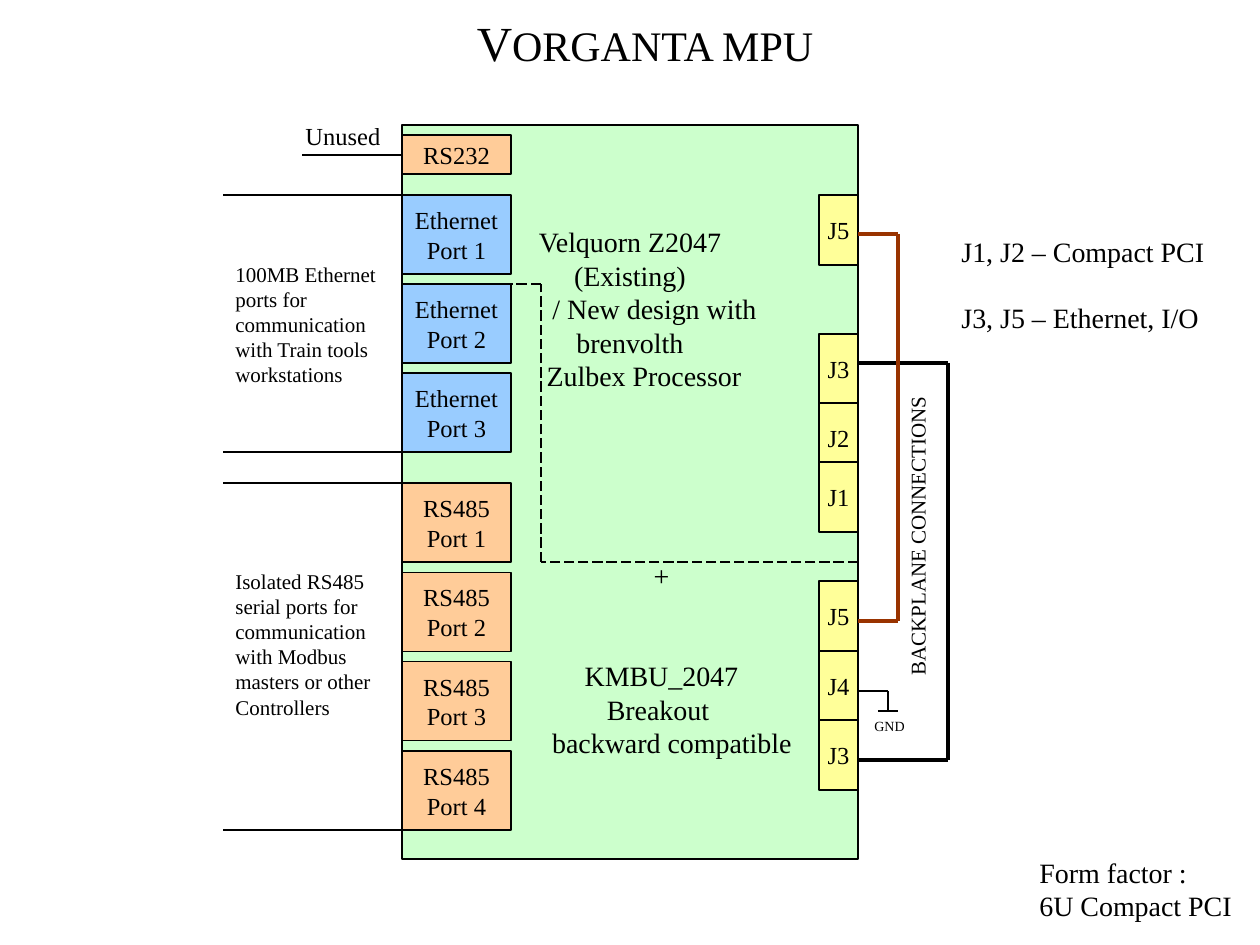
import itertools
from dataclasses import dataclass

import lxml.etree
import pptx
import pptx.dml.color
import pptx.enum.dml
import pptx.enum.shapes
import pptx.enum.text
import pptx.oxml.ns
import pptx.util

EMU_PER_PX = 914400 / 126
ALIGN = pptx.enum.text.PP_ALIGN
ANCHOR = pptx.enum.text.MSO_ANCHOR


@dataclass(frozen=True)
class Theme:
    font: str = "Times New Roman"
    ink: str = "000000"
    board: str = "CCFFCC"
    ethernet: str = "99CCFF"
    serial: str = "FFCC99"
    connector: str = "FFFF99"
    io_wire: str = "993300"
    initial: int = 28
    title: int = 24
    body: int = 16
    port: int = 14
    note: int = 12
    ground: int = 8
    thin: float = 0.75
    thick: int = 2


THEME = Theme()


def px(length):
    return pptx.util.Emu(round(length * EMU_PER_PX))


def rgb(value):
    return pptx.dml.color.RGBColor.from_string(value)


def style(paragraph, size, align):
    paragraph.alignment = align
    paragraph.font.name = THEME.font
    paragraph.font.size = pptx.util.Pt(size)
    paragraph.font.color.rgb = rgb(THEME.ink)


def write(shape, lines, size, align=ALIGN.LEFT, anchor=ANCHOR.TOP, wrap=False):
    frame = shape.text_frame
    frame.text = "\n".join(lines)
    frame.word_wrap = wrap
    frame.vertical_anchor = anchor
    for paragraph in frame.paragraphs:
        style(paragraph, size, align)


def add_label(slide, box, lines, size, align=ALIGN.LEFT, wrap=False):
    label = slide.shapes.add_textbox(*map(px, box))
    write(label, lines, size, align, wrap=wrap)
    return label


def add_block(slide, box, fill, lines, size, wrap=False):
    block = slide.shapes.add_shape(
        pptx.enum.shapes.MSO_SHAPE.RECTANGLE, *map(px, box))
    block.shadow.inherit = False
    block.fill.solid()
    block.fill.fore_color.rgb = rgb(fill)
    block.line.color.rgb = rgb(THEME.ink)
    block.line.width = pptx.util.Pt(THEME.thin)
    write(block, lines, size, ALIGN.CENTER, ANCHOR.MIDDLE, wrap)
    return block


def add_wire(slide, points, color=THEME.ink, width=THEME.thin, dash=None):
    """Join successive points with straight segments."""
    for start, end in itertools.pairwise(points):
        segment = slide.shapes.add_connector(
            pptx.enum.shapes.MSO_CONNECTOR.STRAIGHT, *map(px, start + end))
        segment.line.color.rgb = rgb(color)
        segment.line.width = pptx.util.Pt(width)
        if dash:
            segment.line.dash_style = dash
        lxml.etree.SubElement(segment.element.spPr,
                              pptx.oxml.ns.qn("a:effectLst"))


def add_title(slide, box):
    title = slide.shapes.title
    title.left, title.top, title.width, title.height = map(px, box)
    write(title, [""], THEME.title, ALIGN.CENTER)
    title.text_frame.auto_size = pptx.enum.text.MSO_AUTO_SIZE.NONE
    paragraph = title.text_frame.paragraphs[0]
    initial = paragraph.add_run()
    initial.text = "V"
    initial.font.size = pptx.util.Pt(THEME.initial)
    paragraph.add_run().text = "ORGANTA MPU"


def add_board(slide, box):
    # Each line has its left indent in px and its space before in points.
    description = [
        ("Velquorn Z2047", 0, 0), ("(Existing)", 0, 0),
        ("/ New design with", 49, 0), ("brenvolth", 0, 0),
        ("Zulbex Processor", 28, 0), ("+", 63, 95),
        ("KMBU_2047", 63, 38), ("Breakout", 56, 0),
        ("backward compatible", 84, 0),
    ]
    board = add_block(slide, box, THEME.board,
                      [line for line, _, _ in description], THEME.body, True)
    for paragraph, (_, indent, gap) in zip(board.text_frame.paragraphs,
                                           description):
        paragraph.space_before = pptx.util.Pt(gap)
        paragraph._p.get_or_add_pPr().set("marL", str(px(indent)))
    left, top, width, _ = box
    right = left + width
    add_wire(slide, [(right, top + 437), (left + 139, top + 437),
                     (left + 139, top + 159), (left + 100, top + 159)],
             dash=pptx.enum.dml.MSO_LINE.LONG_DASH)


def add_port_group(slide, box, kind, count, fill, note, note_box):
    """Stack ports at the right of the box, with rules above and below a note."""
    left, top, width, height = box
    port_width, port_height = 109, 79
    pitch = (height - port_height) / (count - 1)
    for index in range(count):
        port_box = (left + width - port_width, top + index * pitch,
                    port_width, port_height)
        add_block(slide, port_box, fill, [kind, f"Port {index + 1}"],
                  THEME.port)
    for y in (top, top + height):
        add_wire(slide, [(left + width - 99, y), (left, y)])
    note_top, note_height = note_box
    add_label(slide, (left, top + note_top, 169, note_height), [note],
              THEME.note, wrap=True)


def add_console_port(slide, box):
    left, top, width, height = box
    add_block(slide, box, THEME.serial, ["RS232"], THEME.port)
    add_wire(slide, [(left, top + 20), (left - 100, top + 20)])
    add_label(slide, (left - 109, top - 20, 106, 43), ["Unused"], THEME.port)


def add_backplane(slide, box):
    left, top, width, height = box
    edge = left + 39
    connectors = [("J5", 0), ("J3", 139), ("J2", 208), ("J1", 267),
                  ("J5", 386), ("J4", 456), ("J3", 525)]
    for name, offset in connectors:
        add_block(slide, (left, top + offset, 39, 70), THEME.connector,
                  [name], THEME.port)

    loops = [(168, 565, left + width, THEME.ink),
             (39, 426, edge + 40, THEME.io_wire)]
    for upper, lower, outer, color in loops:
        add_wire(slide, [(edge, top + upper), (outer, top + upper),
                         (outer, top + lower), (edge, top + lower)],
                 color, THEME.thick)
    caption = add_label(slide, (left - 54, top + 322, 305, 38),
                        ["BACKPLANE CONNECTIONS"], THEME.note, ALIGN.CENTER)
    caption.rotation = 270

    ground = top + 516
    add_wire(slide, [(edge, ground - 20), (edge + 30, ground - 20),
                     (edge + 30, ground)])
    add_wire(slide, [(edge + 20, ground), (edge + 40, ground)])
    add_label(slide, (edge + 4, ground, 64, 30), ["GND"], THEME.ground)


def add_legend(slide, box):
    left, top, width, height = box
    for index, line in enumerate(["J1, J2 – Compact PCI",
                                  "J3, J5 – Ethernet, I/O"]):
        add_label(slide, (left, top + index * 66, width, height - 66),
                  [line], THEME.body)


def main():
    deck = pptx.Presentation()
    deck.slide_width, deck.slide_height = px(1260), px(945)
    slide = deck.slides.add_slide(deck.slide_layouts[5])
    add_title(slide, (459, 6, 372, 72))
    add_board(slide, (402, 125, 456, 734))
    add_port_group(slide, (223, 195, 288, 257), "Ethernet", 3, THEME.ethernet,
                   "100MB Ethernet ports for communication with Train tools "
                   "workstations", (60, 139))
    add_port_group(slide, (223, 483, 288, 347), "RS485", 4, THEME.serial,
                   "Isolated RS485 serial ports for communication with Modbus "
                   "masters or other Controllers", (79, 164))
    add_console_port(slide, (402, 135, 109, 39))
    add_backplane(slide, (819, 195, 129, 595))
    add_legend(slide, (949, 228, 282, 113))
    add_label(slide, (1027, 849, 230, 81),
              ["Form factor :", "6U Compact PCI"], THEME.body)
    deck.save("out.pptx")


if __name__ == "__main__":
    main()
